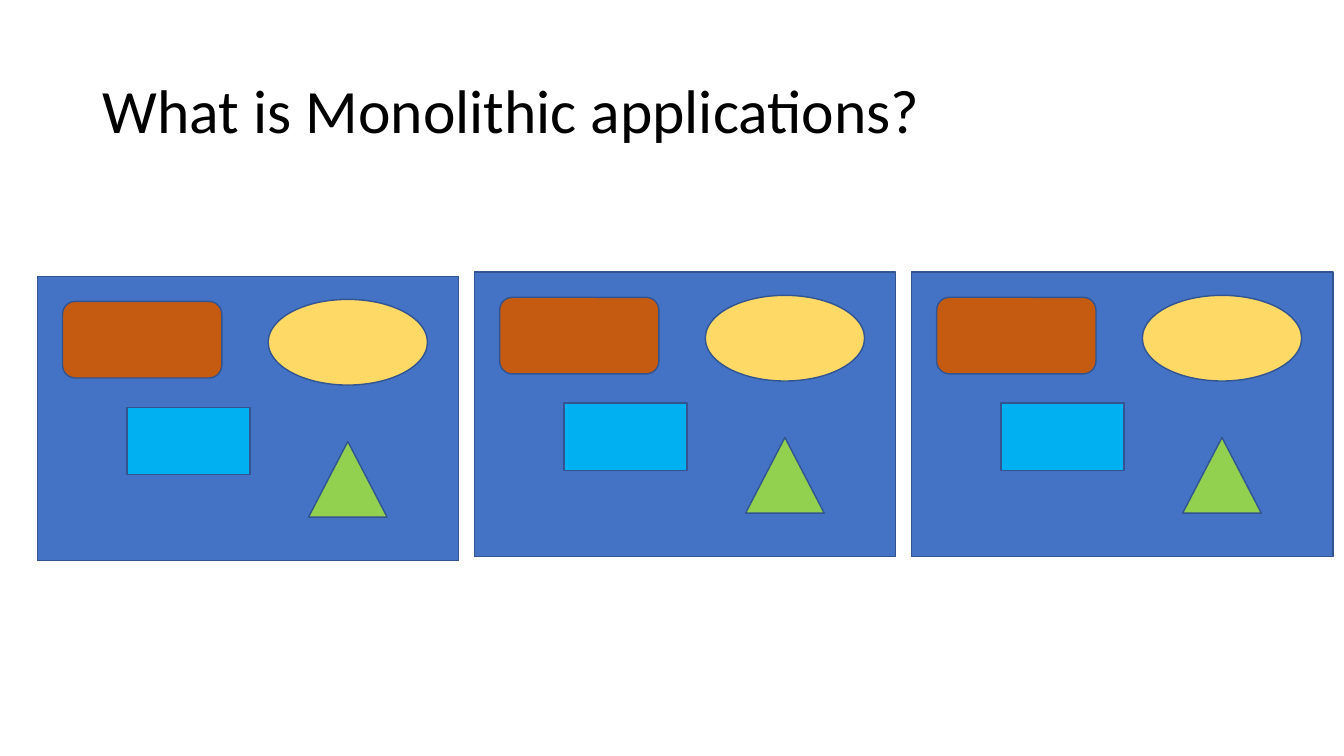
from pptx import Presentation
from pptx import util as u
from pptx.dml.color import RGBColor
from pptx.enum import shapes, text

BLACK = RGBColor(0x00, 0x00, 0x00)
BLUE = RGBColor(0x44, 0x72, 0xC4)
OUTLINE = RGBColor(0x32, 0x54, 0x91)
ORANGE = RGBColor(0xC5, 0x5A, 0x11)
YELLOW = RGBColor(0xFF, 0xD9, 0x66)
CYAN = RGBColor(0x00, 0xB0, 0xF0)
GREEN = RGBColor(0x92, 0xD0, 0x50)

# Application grid: first column, column pitch and the top of each column
FIRST_LEFT, PITCH = 0.37, 4.335
APP_TOPS = (2.74, 2.7, 2.7)

# Parts of one application: preset, fill, offset in the application, size
KIND = shapes.MSO_SHAPE
APP_PARTS = (
    (KIND.RECTANGLE, BLUE, 0, 0, 4.18, 2.82),
    (KIND.ROUNDED_RECTANGLE, ORANGE, 0.25, 0.25, 1.58, 0.76),
    (KIND.OVAL, YELLOW, 2.29, 0.23, 1.58, 0.85),
    (KIND.RECTANGLE, CYAN, 0.89, 1.3, 1.22, 0.67),
    (KIND.ISOSCELES_TRIANGLE, GREEN, 2.69, 1.64, 0.78, 0.75),
)


def set_title(s, title):
    sp = s.shapes.title
    sp.left, sp.top = u.Inches(0.92), u.Inches(0.4)
    sp.width, sp.height = u.Inches(11.5), u.Inches(1.45)
    tf = sp.text_frame
    tf.text = title
    tf.word_wrap = True
    tf.auto_size = text.MSO_AUTO_SIZE.NONE
    tf.vertical_anchor = text.MSO_ANCHOR.MIDDLE
    p = tf.paragraphs[0]
    p.alignment = text.PP_ALIGN.LEFT
    p.line_spacing = 0.9
    font = p.runs[0].font
    font.name, font.size = "Calibri", u.Pt(44)
    font.color.rgb = BLACK


def add_part(group, kind, fill, left, top, width, height):
    sp = group.shapes.add_shape(
        kind, u.Inches(left), u.Inches(top), u.Inches(width), u.Inches(height))
    sp.shadow.inherit = False
    sp.fill.solid()
    sp.fill.fore_color.rgb = fill
    sp.line.color.rgb = OUTLINE
    sp.line.width = u.Pt(1)


def add_application(s, left, top):
    group = s.shapes.add_group_shape()
    for kind, fill, dx, dy, width, height in APP_PARTS:
        add_part(group, kind, fill, left + dx, top + dy, width, height)


def main():
    prs = Presentation()
    prs.slide_width, prs.slide_height = u.Inches(13.33), u.Inches(7.5)
    s = prs.slides.add_slide(prs.slide_layouts[5])

    # Title
    set_title(s, "What is Monolithic applications?")

    # Three instances of the same application
    for column, top in enumerate(APP_TOPS):
        add_application(s, FIRST_LEFT + column * PITCH, top)

    prs.save("out.pptx")


if __name__ == "__main__":
    main()
